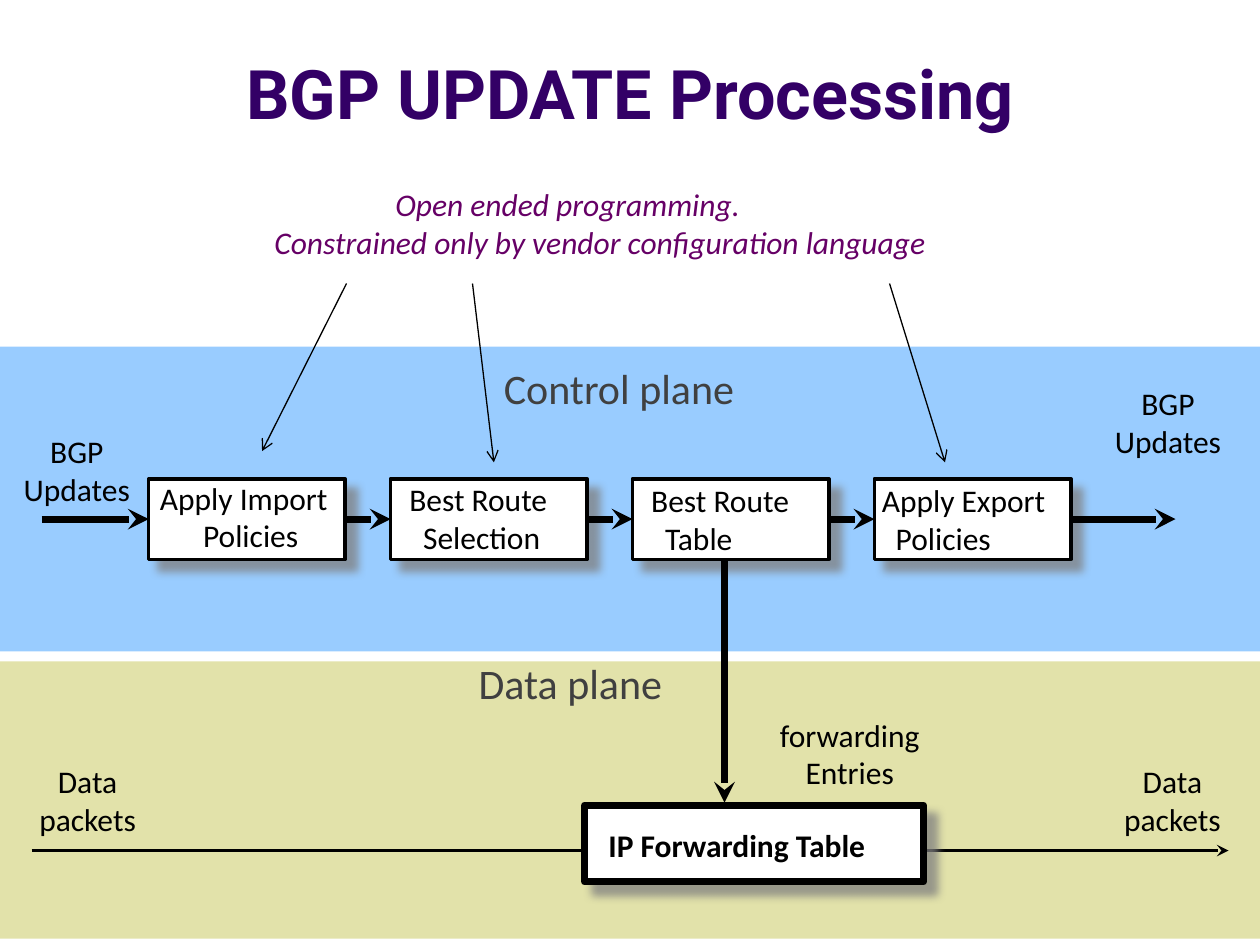
from lxml import etree
from pptx import Presentation
from pptx.dml.color import RGBColor
from pptx.enum.shapes import MSO_CONNECTOR as CONN, MSO_SHAPE as SHAPE
from pptx.enum.text import MSO_ANCHOR as ANCHOR, MSO_AUTO_SIZE as AUTO, PP_ALIGN as ALIGN
from pptx.oxml.ns import qn
from pptx.util import Pt

PX = 9144  # 100 px to the inch
COLORS = {
    "black": "000000", "white": "FFFFFF", "title": "330066", "note": "660066",
    "plane": "404040", "control": "99CCFF", "data": "E2E2AA", "shadow": "808080",
}
SHADOW = {"blurRad": Pt(5), "dist": Pt(8.5), "dir": 45 * 60000, "algn": "ctr", "rotWithShape": 0}


def rgb(name):
    return RGBColor.from_string(COLORS[name])


def add_text(box, lines, align=ALIGN.LEFT, indents=(0, 0), color="black", **font):
    sp = s.shapes.add_textbox(*(v * PX for v in box))
    tf = sp.text_frame
    tf.word_wrap = False
    tf.auto_size = AUTO.SHAPE_TO_FIT_TEXT
    for i, line in enumerate(lines):
        p = tf.paragraphs[0] if i == 0 else tf.add_paragraph()
        p.alignment = align
        if indents[i]:
            p._p.get_or_add_pPr().set("marL", str(indents[i] * PX))
        r = p.add_run()
        r.text = line
        r.font.color.rgb = rgb(color)
        for key, value in {"name": "Calibri", "size": Pt(18), **font}.items():
            setattr(r.font, key, value)


prs = Presentation()
prs.slide_width, prs.slide_height = 1000 * PX, 750 * PX
s = prs.slides.add_slide(prs.slide_layouts[5])

# Title
title = s.shapes.title
title.left, title.top, title.width, title.height = (v * PX for v in (50, -17, 900, 128))
tf = title.text_frame
tf.auto_size = AUTO.NONE
tf.vertical_anchor = ANCHOR.BOTTOM
p = tf.paragraphs[0]
p.alignment = ALIGN.CENTER
r = p.add_run()
r.text = "BGP UPDATE Processing"
r.font.color.rgb = rgb("title")
for key, value in {"name": "Roboto", "size": Pt(39), "bold": True}.items():
    setattr(r.font, key, value)

# Plane bands
for top, height, color in ((525, 220, "data"), (275, 242, "control")):
    sp = s.shapes.add_shape(SHAPE.RECTANGLE, 0, top * PX, 1000 * PX, height * PX)
    sp.shadow.inherit = False
    sp.fill.solid()
    sp.fill.fore_color.rgb = rgb(color)
    sp.line.fill.background()

# Arrows: start, end, width, head, boxes joined at start and end
BOX_X = [118 + 192 * i for i in range(4)]
BOX_W, BOX_Y, BOX_H = 156, 380, 64
MID = BOX_Y + BOX_H // 2
arrows = [((25, 675), (975, 675), 2.25, "stealth", None, None),
          ((33, MID), (BOX_X[0], MID), 4, "stealth", None, 0)]
arrows += [((BOX_X[i] + BOX_W, MID), (BOX_X[i + 1], MID), 4, "stealth", i, i + 1)
           for i in range(3)]
arrows += [((BOX_X[3] + BOX_W, MID), (933, MID), 4, "stealth", 3, None),
           ((575, 445), (575, 637), 4, "stealth", None, None)]
arrows += [(start, end, 0.75, "arrow", None, None) for start, end in (
    ((275, 225), (208, 358)), ((375, 225), (392, 367)), ((706, 225), (750, 367)))]

# Boxes, the last one being the forwarding table
boxes = []
frames = [(x, BOX_Y, BOX_W, BOX_H, 2) for x in BOX_X] + [(464, 639, 269, 61, 4)]
for *box, width in frames:
    sp = s.shapes.add_shape(SHAPE.RECTANGLE, *(v * PX for v in box))
    sp.fill.solid()
    sp.fill.fore_color.rgb = rgb("white")
    sp.line.color.rgb = rgb("black")
    sp.line.width = Pt(width)
    sp.shadow.inherit = False
    effects = sp._element.spPr.find(qn("a:effectLst"))
    shadow = etree.SubElement(effects, qn("a:outerShdw"), {k: str(v) for k, v in SHADOW.items()})
    color = etree.SubElement(shadow, qn("a:srgbClr"), val=COLORS["shadow"])
    etree.SubElement(color, qn("a:alpha"), val="75000")
    boxes.append(sp)

for start, end, width, head, source, target in arrows:
    c = s.shapes.add_connector(CONN.STRAIGHT, *(v * PX for v in start + end))
    c.line.color.rgb = rgb("black")
    c.line.width = Pt(width)
    etree.SubElement(c.line._get_or_add_ln(), qn("a:tailEnd"), type=head)
    etree.SubElement(c._element.spPr, qn("a:effectLst"))
    if source is not None:
        c.begin_connect(boxes[source], 3)
    if target is not None:
        c.end_connect(boxes[target], 1)
    if start == (25, 675):  # the packet line runs behind the forwarding table
        boxes[0]._element.addprevious(c._element)

# Box labels
add_text((115, 375, 157, 70), ["Apply Import", "Policies"], ALIGN.CENTER, (0, 11))
for box, lines in (
    ((315, 376, 132, 70), ["Best Route", "Selection"]),
    ((507, 377, 137, 70), ["Best Route", "Table"]),
    ((690, 377, 152, 71), ["Apply Export", "Policies"]),
):
    add_text(box, lines, indents=(0, 11))
add_text((473, 651, 229, 40), ["IP Forwarding Table"], bold=True)

# Flow labels
for box, lines in (
    ((608, 563, 133, 71), ["forwarding", "Entries"]),
    ((8, 338, 106, 71), ["BGP", "Updates"]),
    ((874, 300, 106, 71), ["BGP", "Updates"]),
    ((20, 600, 99, 71), ["Data", "packets"]),
    ((881, 600, 99, 71), ["Data", "packets"]),
):
    add_text(box, lines, ALIGN.CENTER)

# Note and plane names
add_text((208, 142, 564, 71),
         ["Open ended programming.", "Constrained only by vendor configuration language"],
         indents=(96, 0), color="note", italic=True)
add_text((370, 517, 172, 50), ["Data plane"], color="plane", size=Pt(24))
add_text((390, 283, 210, 50), ["Control plane"], color="plane", size=Pt(24))

prs.save("out.pptx")
